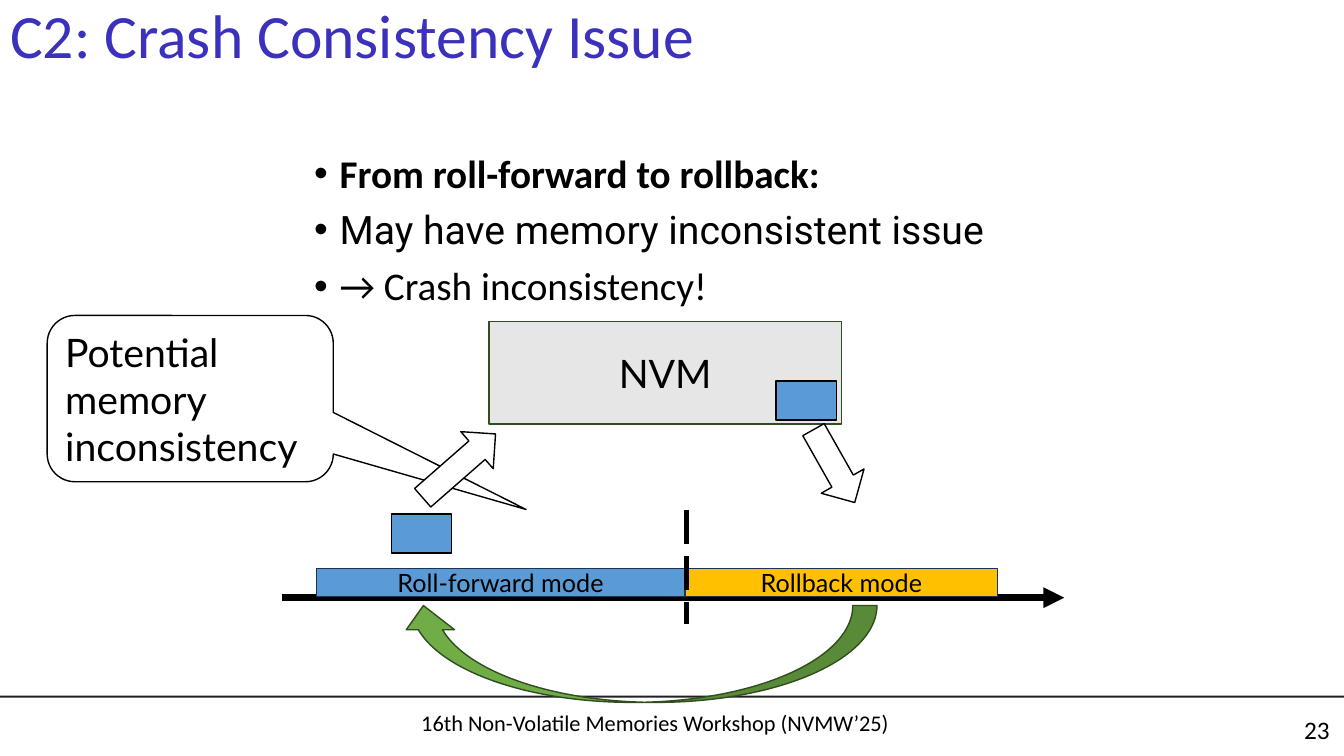
"""Build the slide on crash consistency between roll-forward and rollback modes."""
from dataclasses import dataclass

from lxml import etree
from pptx import Presentation
from pptx.dml.color import RGBColor
from pptx.enum.dml import MSO_LINE
from pptx.enum.shapes import MSO_CONNECTOR, MSO_SHAPE
from pptx.enum.text import MSO_ANCHOR, MSO_AUTO_SIZE, PP_ALIGN
from pptx.oxml.ns import qn
from pptx.util import Cm, Pt

RECT, UP_ARROW = MSO_SHAPE.RECTANGLE, MSO_SHAPE.UP_ARROW
CALLOUT, CURVED_ARROW = MSO_SHAPE.ROUNDED_RECTANGULAR_CALLOUT, MSO_SHAPE.CURVED_LEFT_ARROW
LEFT, CENTER, RIGHT = PP_ALIGN.LEFT, PP_ALIGN.CENTER, PP_ALIGN.RIGHT
TOP, MIDDLE = MSO_ANCHOR.TOP, MSO_ANCHOR.MIDDLE
LONG_DASH = MSO_LINE.LONG_DASH


@dataclass(frozen=True)
class Theme:
    """Colours, fonts and type sizes of the slide."""
    title: str = "3B31BD"
    ink: str = "000000"
    paper: str = "FFFFFF"
    rule: str = "231F20"
    forward: str = "5B9BD5"
    rollback: str = "FFC000"
    memory: str = "E7E6E6"
    switch: str = "70AD47"
    navy: str = "1E3256"
    moss: str = "314C1F"
    text_font: str = "Calibri"
    label_font: str = "Lato"
    accent_font: str = "Roboto"
    title_size: int = 44
    body_size: int = 28
    label_size: int = 18
    footer_size: int = 16


THEME = Theme()

SLIDE_SIZE = (33.87, 19.05)
TITLE = ("C2: Crash Consistency Issue", (0, 0, 26.82, 1.93))
POINTS_BOX = (7.67, 3.76, 19.76, 5.13)
POINTS = [
    ("From roll-forward to rollback:", THEME.text_font, True),
    ("May have memory inconsistent issue", THEME.accent_font, False),
    ("→ Crash inconsistency!", THEME.text_font, False),
]
FOOTERS = [
    ("16th Non-Volatile Memories Workshop (NVMW’25)", (9.5, 17.75, 14.02, 0.94),
     THEME.footer_size, CENTER, TOP),
    ("23", (26.14, 17.86, 7.62, 1.02), THEME.label_size, RIGHT, MIDDLE),
]
RULE = (0, 17.53, SLIDE_SIZE[0], 0.05)
WARNING = ("Potential memory inconsistency", (1.19, 7.95, 7.21, 4.19), (1.174, 0.667, 0.167))
MEMORY = ("NVM", (12.32, 8.1, 8.89, 2.59))
AXIS = (7.11, 15.06, 26.82, 15.06)
DIVIDER = (17.3, 12.85, 17.3, 15.72)
MODE_TOP, MODE_HEIGHT = 14.33, 0.7
MODES = [
    ("Rollback mode", 17.27, 7.87, THEME.rollback),
    ("Roll-forward mode", 7.98, 9.27, THEME.forward),
]
TRANSFERS = [
    ((10.95, 10.52, 1.24, 2.44), 48.8),
    ((20.4, 10.69, 1.24, 2.11), 150.5),
]
BLOCK_SIZE = (1.52, 0.99)
BLOCKS = [(9.86, 12.95), (19.56, 9.6)]
SWITCH = ((14.86, 10.46, 2.44, 12.04), 90)


def colour(value):
    """Turn a hex value into a colour."""
    return RGBColor.from_string(value)


def add_span(para, text, size, font=THEME.text_font, ink=THEME.ink, bold=False):
    """Add one formatted run to a paragraph."""
    span = para.add_run()
    span.text = text
    span.font.size = Pt(size)
    span.font.name = font
    span.font.bold = bold
    span.font.color.rgb = colour(ink)


def add_figure(page, kind, place, fill, line=None, turn=0):
    """Add a filled preset shape, outlined when a line colour is given."""
    shape = page.shapes.add_shape(kind, *map(Cm, place))
    shape.shadow.inherit = False
    shape.rotation = turn
    shape.fill.solid()
    shape.fill.fore_color.rgb = colour(fill)
    if line:
        shape.line.color.rgb = colour(line)
        shape.line.width = Pt(1)
    else:
        shape.line.fill.background()
    return shape


def add_label(shape, text, size, align=CENTER):
    """Write a label in the middle of a shape."""
    frame = shape.text_frame
    frame.word_wrap = True
    frame.vertical_anchor = MIDDLE
    para = frame.paragraphs[0]
    para.alignment = align
    add_span(para, text, size, THEME.label_font)


def add_line(page, ends, width):
    """Add a straight black line."""
    line = page.shapes.add_connector(MSO_CONNECTOR.STRAIGHT, *map(Cm, ends))
    line.line.color.rgb = colour(THEME.ink)
    line.line.width = Pt(width)
    etree.SubElement(line._element.spPr, qn("a:effectLst"))
    return line


def add_text_box(page, place, anchor=TOP):
    """Add a wrapping text box and return its frame."""
    frame = page.shapes.add_textbox(*map(Cm, place)).text_frame
    frame.word_wrap = True
    frame.vertical_anchor = anchor
    return frame


def add_title(page):
    """Place and fill the title placeholder."""
    text, place = TITLE
    box = page.shapes.title
    box.left, box.top, box.width, box.height = map(Cm, place)
    frame = box.text_frame
    frame.auto_size = MSO_AUTO_SIZE.NONE
    frame.vertical_anchor = MIDDLE
    para = frame.paragraphs[0]
    para.alignment = LEFT
    para.line_spacing = 0.9
    add_span(para, text, THEME.title_size, ink=THEME.title)


def add_points(page):
    """Add the bulleted points."""
    frame = add_text_box(page, POINTS_BOX)
    for index, (text, font, bold) in enumerate(POINTS):
        para = frame.add_paragraph() if index else frame.paragraphs[0]
        para.line_spacing = 0.9
        if index:
            para.space_before = Pt(10)
        properties = para._p.get_or_add_pPr()
        properties.set("marL", str(Cm(0.64)))
        properties.set("indent", str(-Cm(0.64)))
        etree.SubElement(properties, qn("a:buFont"), typeface="Arial")
        etree.SubElement(properties, qn("a:buChar"), char="•")
        add_span(para, text, THEME.body_size, font, bold=bold)


def add_diagram(page):
    """Draw the memory, the timeline and the moves between them."""
    text, place, adjustments = WARNING
    callout = add_figure(page, CALLOUT, place, THEME.paper, THEME.ink)
    for index, value in enumerate(adjustments):
        callout.adjustments[index] = value
    add_label(callout, text, THEME.body_size, LEFT)
    axis = add_line(page, AXIS, 5)
    etree.SubElement(axis.line._get_or_add_ln(), qn("a:tailEnd"), type="triangle")
    for text, left, width, fill in MODES:
        mode = add_figure(page, RECT, (left, MODE_TOP, width, MODE_HEIGHT), fill, THEME.navy)
        add_label(mode, text, THEME.label_size)
    text, place = MEMORY
    add_label(add_figure(page, RECT, place, THEME.memory, THEME.moss), text, THEME.body_size)
    for place, turn in TRANSFERS:
        add_figure(page, UP_ARROW, place, THEME.paper, THEME.ink, turn)
    for corner in BLOCKS:
        add_figure(page, RECT, corner + BLOCK_SIZE, THEME.forward, THEME.ink)
    place, turn = SWITCH
    add_figure(page, CURVED_ARROW, place, THEME.switch, THEME.moss, turn)
    add_line(page, DIVIDER, 3).line.dash_style = LONG_DASH


def main():
    """Build and save the deck."""
    deck = Presentation()
    deck.slide_width, deck.slide_height = map(Cm, SLIDE_SIZE)
    page = deck.slides.add_slide(deck.slide_layouts[5])
    add_figure(page, RECT, RULE, THEME.rule)
    for text, place, size, align, anchor in FOOTERS:
        para = add_text_box(page, place, anchor).paragraphs[0]
        para.alignment = align
        add_span(para, text, size)
    add_title(page)
    add_points(page)
    add_diagram(page)
    deck.save("out.pptx")


if __name__ == "__main__":
    main()
